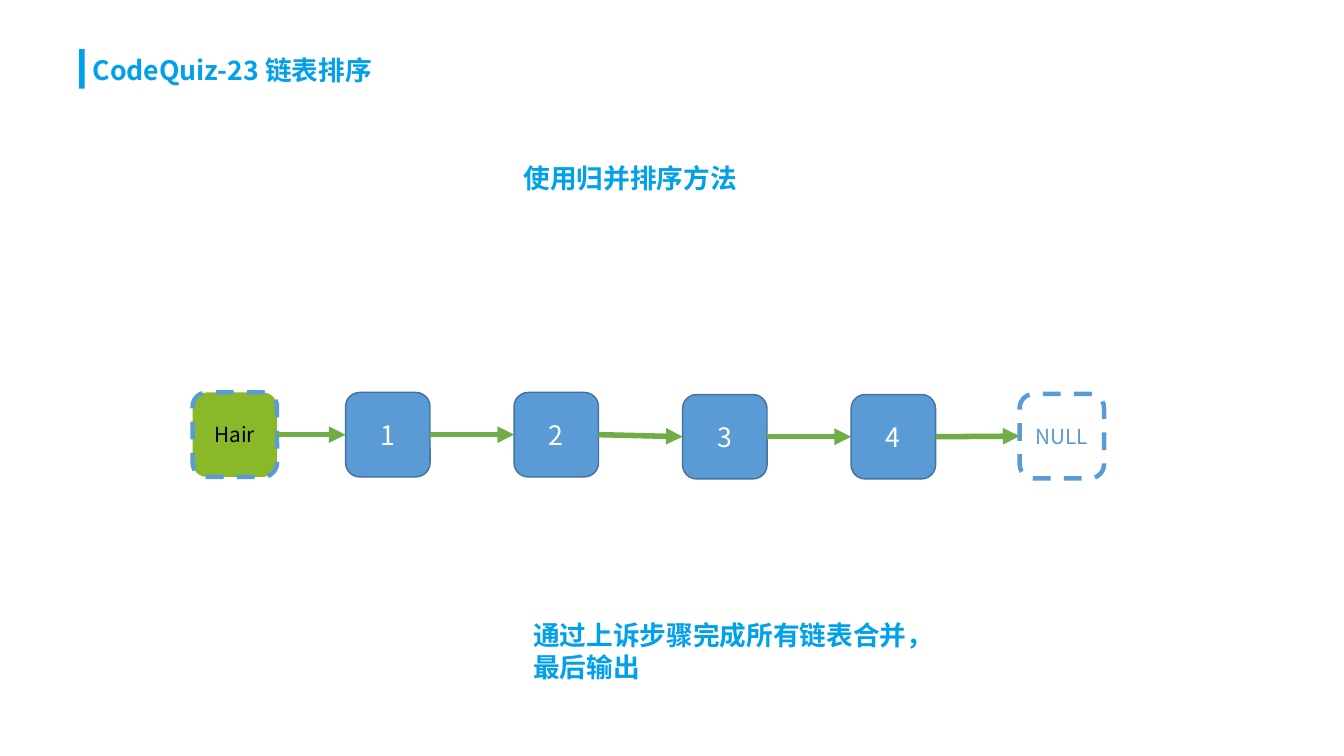
from pptx import Presentation
from pptx.dml.color import RGBColor
from pptx.enum.dml import MSO_LINE
from pptx.enum.shapes import MSO_CONNECTOR, MSO_SHAPE
from pptx.enum.text import MSO_ANCHOR, PP_ALIGN
from pptx.oxml.ns import qn
from pptx.util import Pt
from lxml.etree import SubElement

COLORS = {
    "accent": "00A0EA",
    "node": "5B9BD5",
    "edge": "43739E",
    "arrow": "70AD47",
    "head": "89B929",
    "white": "FFFFFF",
    "black": "000000",
}
CJK_FONT = "Noto Sans CJK JP"
NODE_SIZE = 57
NODE_PITCH = 113.75


def color(name):
    return RGBColor.from_string(COLORS[name])


def add_text(shape, text, size, ink, font=CJK_FONT, bold=False,
             align=PP_ALIGN.LEFT, anchor=MSO_ANCHOR.MIDDLE):
    frame = shape.text_frame
    frame.word_wrap = True
    frame.vertical_anchor = anchor
    para = frame.paragraphs[0]
    para.alignment = align
    run = para.add_run()
    run.text = text
    run.font.size = Pt(size)
    run.font.bold = bold
    run.font.color.rgb = color(ink)
    run.font.name = font
    SubElement(run.font._element, qn("a:ea")).set("typeface", CJK_FONT)


def add_block(page, kind, box, fill):
    shape = page.shapes.add_shape(kind, *map(Pt, box))
    shape.shadow.inherit = False
    shape.fill.solid()
    shape.fill.fore_color.rgb = color(fill)
    shape.line.fill.background()
    return shape


def add_title(page, box, text):
    left, top, width, height = box
    title = page.shapes.add_textbox(*map(Pt, box))
    add_text(title, text, 18, "accent", bold=True, anchor=MSO_ANCHOR.TOP)
    add_block(page, MSO_SHAPE.RECTANGLE, (left - 2, top, 3.8, height - 2.2), "accent")


def add_caption(page, box, text):
    caption = add_block(page, MSO_SHAPE.RECTANGLE, box, "white")
    add_text(caption, text, 18, "accent", font="Arial", bold=True)


def add_node(page, box, text, fill, ink, dashed):
    node = add_block(page, MSO_SHAPE.ROUNDED_RECTANGLE, box, fill)
    node.line.color.rgb = color("node" if dashed else "edge")
    node.line.width = Pt(3 if dashed else 1)
    if dashed:
        node.line.dash_style = MSO_LINE.DASH
    add_text(node, text, 14 if dashed else 18, ink, align=PP_ALIGN.CENTER)
    return node


def add_arrow(page, source, target):
    arrow = page.shapes.add_connector(MSO_CONNECTOR.STRAIGHT, 0, 0, 0, 0)
    arrow.begin_connect(source, 3)
    arrow.end_connect(target, 1)
    arrow.line.color.rgb = color("arrow")
    arrow.line.width = Pt(3.75)
    SubElement(arrow.line._get_or_add_ln(), qn("a:tailEnd")).set("type", "triangle")
    SubElement(arrow._element.spPr, qn("a:effectLst"))


def add_linked_list(page, left, top):
    first = left + 103.25
    nodes = [add_node(page, (left, top, NODE_SIZE, NODE_SIZE),
                      "Hair", "head", "black", True)]
    for index, drop in enumerate((0, 0, 1.4, 1.4)):
        box = (first + index * NODE_PITCH, top + drop, NODE_SIZE, NODE_SIZE)
        nodes.append(add_node(page, box, str(index + 1), "node", "white", False))
    nodes.append(add_node(page, (first + 4 * NODE_PITCH, top + 1, NODE_SIZE, NODE_SIZE),
                          "NULL", "white", "node", True))
    for source, target in zip(nodes, nodes[1:]):
        add_arrow(page, source, target)


def main():
    deck = Presentation()
    deck.slide_width, deck.slide_height = Pt(907.2), Pt(510.5)
    page = deck.slides.add_slide(deck.slide_layouts[6])
    add_title(page, (55.4, 33.1, 453, 29), "CodeQuiz-23 链表排序")
    add_caption(page, (346.3, 105.8, 204.5, 29), "使用归并排序方法")
    add_linked_list(page, 130, 265)
    add_caption(page, (352.8, 414, 287.3, 51), "通过上诉步骤完成所有链表合并，最后输出")
    deck.save("out.pptx")


if __name__ == "__main__":
    main()
